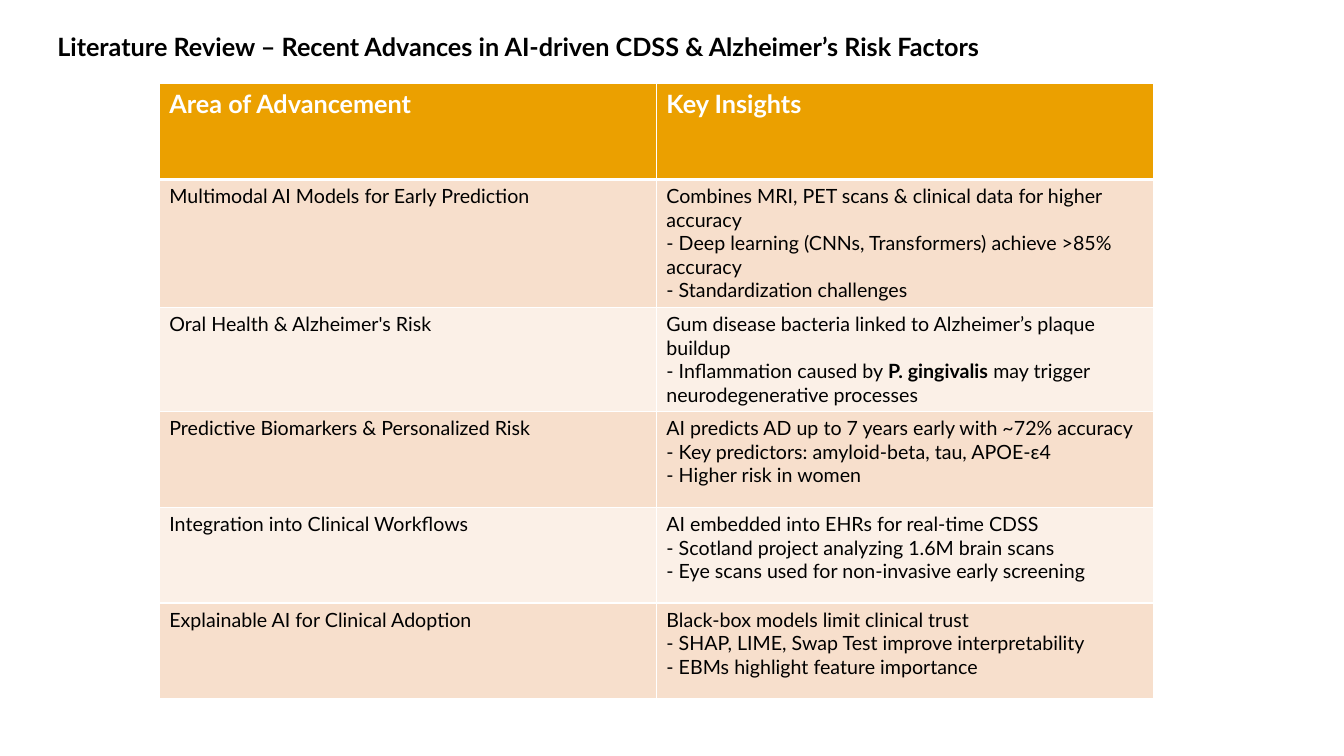
from typing import NamedTuple

from lxml import etree
from pptx import Presentation
from pptx.dml.color import RGBColor
from pptx.enum.text import MSO_AUTO_SIZE
from pptx.oxml.ns import qn
from pptx.util import Inches, Pt

SHAPE_TO_FIT_TEXT = MSO_AUTO_SIZE.SHAPE_TO_FIT_TEXT
FONT = "Lato"
BLACK, WHITE = "000000", "FFFFFF"
HEADER_FILL = "EBA000"
BAND_FILLS = ("F7DFCC", "FBF0E7")
ROW_HEIGHT, TALL_ROW_HEIGHT = 0.95, 1.19
THIN, THICK = 1, 3


class Span(NamedTuple):
    text: str
    bold: bool = False


class Finding(NamedTuple):
    area: str
    insights: list[list[Span]]


TITLE = "Literature Review – Recent Advances in AI-driven CDSS & Alzheimer’s Risk Factors"
HEADINGS = ("Area of Advancement", "Key Insights")
FINDINGS = [
    Finding("Multimodal AI Models for Early Prediction", [
        [Span("Combines MRI, PET scans & clinical data for higher accuracy")],
        [Span("- Deep learning (CNNs, Transformers) achieve >85% accuracy")],
        [Span("- Standardization challenges")],
    ]),
    Finding("Oral Health & Alzheimer's Risk", [
        [Span("Gum disease bacteria linked to Alzheimer’s plaque buildup")],
        [Span("- Inflammation caused by "), Span("P. gingivalis", True),
         Span(" may trigger neurodegenerative processes")],
    ]),
    Finding("Predictive Biomarkers & Personalized Risk", [
        [Span("AI predicts AD up to 7 years early with ~72% accuracy")],
        [Span("- Key predictors: amyloid-beta, tau, APOE-ε4")],
        [Span("- Higher risk in women")],
    ]),
    Finding("Integration into Clinical Workflows", [
        [Span("AI embedded into EHRs for real-time CDSS")],
        [Span("- Scotland project analyzing 1.6M brain scans")],
        [Span("- Eye scans used for non-invasive early screening")],
    ]),
    Finding("Explainable AI for Clinical Adoption", [
        [Span("Black-box models limit clinical trust")],
        [Span("- SHAP, LIME, Swap Test improve interpretability")],
        [Span("- EBMs highlight feature importance")],
    ]),
]


def color(value: str) -> RGBColor:
    return RGBColor.from_string(value)


def write_lines(frame, lines: list[list[Span]], size: int, ink: str) -> None:
    """Write the lines as one paragraph, parted by line breaks."""
    para = frame.paragraphs[0]
    for number, line in enumerate(lines):
        if number:
            para.add_line_break()
        for span in line:
            run = para.add_run()
            run.text = span.text
            run.font.name = FONT
            run.font.size = Pt(size)
            run.font.bold = span.bold
            run.font.color.rgb = color(ink)


def set_borders(cell, top: int, bottom: int) -> None:
    properties = cell._tc.get_or_add_tcPr()
    widths = {"a:lnL": THIN, "a:lnR": THIN, "a:lnT": top, "a:lnB": bottom}
    for position, (tag, width) in enumerate(widths.items()):
        line = etree.Element(qn(tag), w=str(Pt(width)))
        fill = etree.SubElement(line, qn("a:solidFill"))
        etree.SubElement(fill, qn("a:srgbClr"), val=WHITE)
        properties.insert(position, line)


def fill_cell(cell, lines: list[list[Span]], size: int, ink: str, fill: str,
              top: int = THIN, bottom: int = THIN) -> None:
    cell.fill.solid()
    cell.fill.fore_color.rgb = color(fill)
    set_borders(cell, top, bottom)
    write_lines(cell.text_frame, lines, size, ink)


def add_title(page) -> None:
    box = page.shapes.add_textbox(Inches(0.47), Inches(0.26), Inches(12.02), Inches(0.4))
    box.text_frame.word_wrap = True
    box.text_frame.auto_size = SHAPE_TO_FIT_TEXT
    write_lines(box.text_frame, [[Span(TITLE, True)]], 18, BLACK)


def add_findings_table(page) -> None:
    table = page.shapes.add_table(
        len(FINDINGS) + 1, len(HEADINGS),
        Inches(1.58), Inches(0.83), Inches(9.86), Inches(5.94)).table
    table.first_row = True
    table.horz_banding = False
    for row in table.rows:
        row.height = Inches(ROW_HEIGHT)
    table.rows[1].height = Inches(TALL_ROW_HEIGHT)

    for column, heading in enumerate(HEADINGS):
        fill_cell(table.cell(0, column), [[Span(heading, True)]], 18, WHITE,
                  HEADER_FILL, bottom=THICK)
    for row, finding in enumerate(FINDINGS, start=1):
        fill = BAND_FILLS[(row - 1) % len(BAND_FILLS)]
        top = THICK if row == 1 else THIN
        for column, lines in enumerate(([[Span(finding.area)]], finding.insights)):
            fill_cell(table.cell(row, column), lines, 14, BLACK, fill, top=top)


def main() -> None:
    deck = Presentation()
    deck.slide_width = Inches(13.33)
    deck.slide_height = Inches(7.5)
    page = deck.slides.add_slide(deck.slide_layouts[6])
    add_findings_table(page)
    add_title(page)
    deck.save("out.pptx")


if __name__ == "__main__":
    main()
